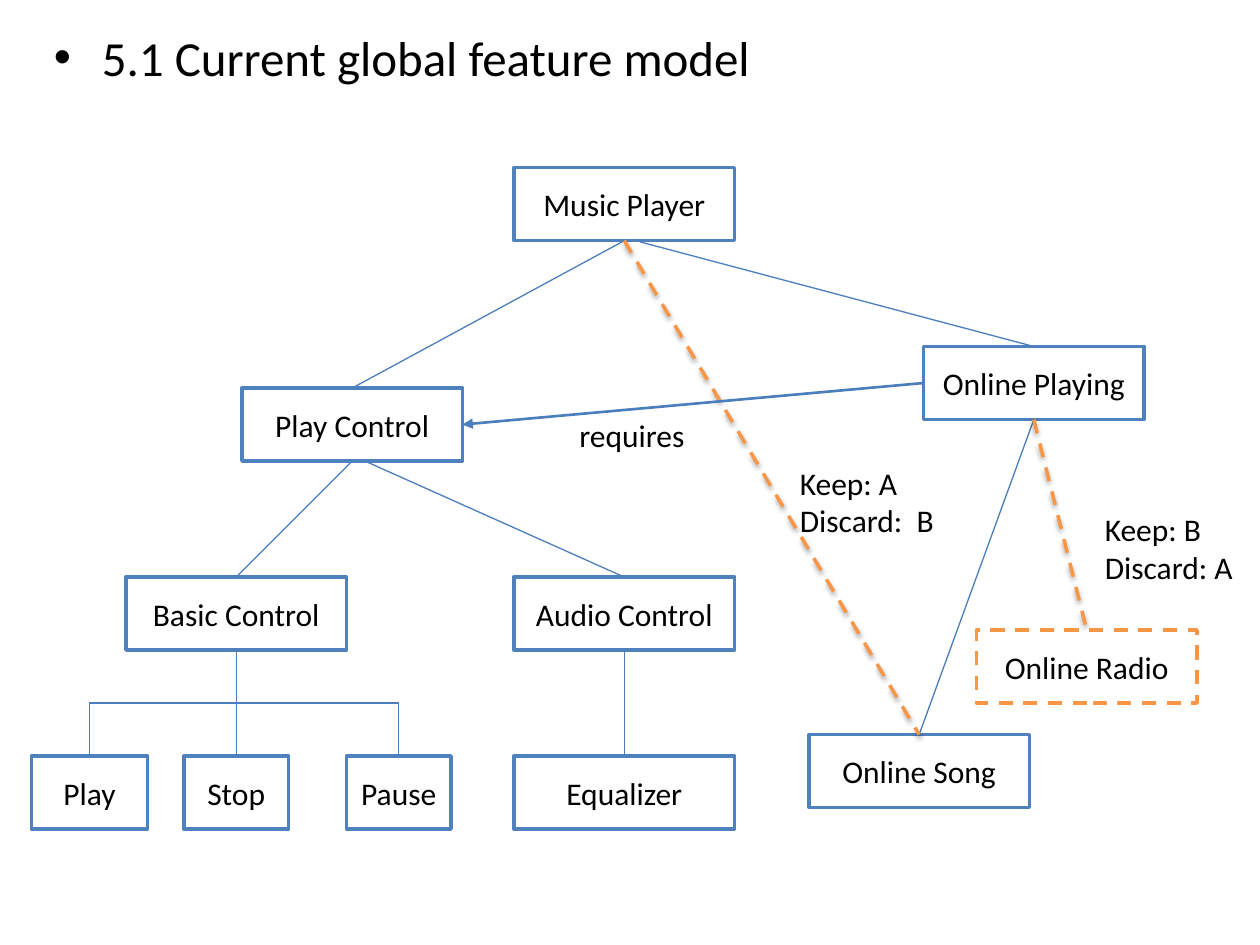
from lxml import etree
from pptx import Presentation
from pptx.dml.color import RGBColor
from pptx.enum.dml import MSO_LINE
from pptx.enum.shapes import MSO_CONNECTOR, MSO_SHAPE
from pptx.enum.text import MSO_ANCHOR, PP_ALIGN
from pptx.oxml.ns import qn
from pptx.util import Inches, Pt

RECT = MSO_SHAPE.RECTANGLE
STRAIGHT, ELBOW = MSO_CONNECTOR.STRAIGHT, MSO_CONNECTOR.ELBOW
DASH = MSO_LINE.DASH
MIDDLE, CENTER = MSO_ANCHOR.MIDDLE, PP_ALIGN.CENTER
TOP, LEFT, BOTTOM, RIGHT = range(4)

FONT = "Calibri"
BLACK, WHITE = "000000", "FFFFFF"
BLUE, EDGE, ORANGE = "4F81BD", "4B7EBC", "F79646"
WIDE, HIGH = 1.75, 0.58

# name, left, top, width
BOXES = [
    ("Music Player", 4.08, 1.33, WIDE),
    ("Play Control", 1.92, 3.08, WIDE),
    ("Online Playing", 7.33, 2.75, WIDE),
    ("Basic Control", 1, 4.58, WIDE),
    ("Audio Control", 4.08, 4.58, WIDE),
    ("Play", 0.25, 6, 0.92),
    ("Stop", 1.46, 6, 0.83),
    ("Pause", 2.75, 6, 0.83),
    ("Equalizer", 4.08, 6, WIDE),
    ("Online Song", 6.42, 5.83, WIDE),
    ("Online Radio", 7.75, 5, WIDE),
]
NEW = "Online Radio"

# parent, child
LINKS = [
    ("Music Player", "Play Control"),
    ("Play Control", "Basic Control"),
    ("Basic Control", "Stop"),
    ("Audio Control", "Equalizer"),
    ("Online Playing", "Online Song"),
]
# parent, child, start point beside the middle of the parent's side
ASIDE = [
    ("Music Player", "Online Playing", (5.08, 1.92)),
    ("Play Control", "Audio Control", (2.92, 3.67)),
]
BENDS = [("Basic Control", "Play"), ("Basic Control", "Pause")]
CLASHES = [("Online Playing", "Online Radio"), ("Music Player", "Online Song")]

# text, left, top, width, height, wrap
NOTES = [
    ("Keep: A\nDiscard:  B", 6.25, 3.63, 1.5, 0.71, True),
    ("Keep: B\nDiscard: A", 8.67, 4, 1.33, 0.71, True),
    ("requires", 4.5, 3.25, 1.05, 0.4, False),
]


def color(code):
    return RGBColor.from_string(code)


def style(frame, size):
    for para in frame.paragraphs:
        for run in para.runs:
            run.font.name = FONT
            run.font.size = Pt(size)
            run.font.color.rgb = color(BLACK)


def ink(line, code, width, dash=None):
    line.color.rgb = color(code)
    line.width = Pt(width)
    if dash:
        line.dash_style = dash


def add_text(slide, text, left, top, width, height, wrap=True, size=18):
    box = slide.shapes.add_textbox(
        Inches(left), Inches(top), Inches(width), Inches(height))
    frame = box.text_frame
    frame.word_wrap = wrap
    frame.text = text
    style(frame, size)
    return frame


def add_title(slide, text):
    frame = add_text(slide, text, 0.33, 0.17, 9, 0.83, size=28)
    para = frame.paragraphs[0]
    para.space_before = Pt(5.6)
    props = para._p.get_or_add_pPr()
    props.set("marL", str(Inches(0.38)))
    props.set("indent", str(Inches(-0.38)))
    etree.SubElement(props, qn("a:buFont"), typeface="Arial")
    etree.SubElement(props, qn("a:buChar"), char="•")


def add_box(slide, name, left, top, width):
    box = slide.shapes.add_shape(
        RECT, Inches(left), Inches(top), Inches(width), Inches(HIGH))
    box.shadow.inherit = False
    box.fill.solid()
    box.fill.fore_color.rgb = color(WHITE)
    if name == NEW:
        ink(box.line, ORANGE, 2, DASH)
    else:
        ink(box.line, BLUE, 2)
    frame = box.text_frame
    frame.word_wrap = True
    frame.vertical_anchor = MIDDLE
    frame.text = name
    frame.paragraphs[0].alignment = CENTER
    style(frame, 18)
    return box


def add_link(slide, start, end, sides=(BOTTOM, TOP), kind=STRAIGHT,
             code=EDGE, width=0.75, dash=None, point=(0, 0)):
    """Join two boxes; without a start box the line begins at point."""
    x, y = map(Inches, point)
    link = slide.shapes.add_connector(kind, x, y, x, y)
    if start is not None:
        link.begin_connect(start, sides[0])
    link.end_connect(end, sides[1])
    ink(link.line, code, width, dash)
    etree.SubElement(link.element.spPr, qn("a:effectLst"))
    return link


def add_bend(slide, start, end):
    """Elbow that leaves downwards, runs across and ends downwards."""
    link = add_link(slide, start, end, kind=ELBOW)
    across, down = link.end_x - link.begin_x, link.end_y - link.begin_y
    mid_x = (link.begin_x + link.end_x) // 2
    mid_y = (link.begin_y + link.end_y) // 2
    link.width, link.height = down, abs(across)
    link.left, link.top = mid_x - down // 2, mid_y - abs(across) // 2
    frame = link.element.spPr.find(qn("a:xfrm"))
    frame.set("rot", str((270 if across > 0 else 90) * 60000))
    frame.set("flipH", "1" if across > 0 else "0")


def add_shade(link):
    effects = link.element.spPr.find(qn("a:effectLst"))
    shade = etree.SubElement(
        effects, qn("a:outerShdw"), blurRad=str(Pt(3.1)),
        dist=str(Pt(1.6)), dir="5400000", rotWithShape="0")
    tone = etree.SubElement(shade, qn("a:srgbClr"), val=BLACK)
    etree.SubElement(tone, qn("a:alpha"), val="38000")


def add_head(link):
    line = link.element.spPr.find(qn("a:ln"))
    etree.SubElement(line, qn("a:tailEnd"), type="triangle")


def main():
    deck = Presentation()
    deck.slide_width, deck.slide_height = Inches(10), Inches(7.5)
    slide = deck.slides.add_slide(deck.slide_layouts[6])

    add_title(slide, "5.1 Current global feature model")

    # Features
    boxes = {row[0]: add_box(slide, *row) for row in BOXES}

    # Tree
    for up, low in LINKS:
        add_link(slide, boxes[up], boxes[low])
    for up, low, point in ASIDE:
        add_link(slide, None, boxes[low], point=point)
    for up, low in BENDS:
        add_bend(slide, boxes[up], boxes[low])

    # Conflicting links
    for up, low in CLASHES:
        add_shade(add_link(slide, boxes[up], boxes[low],
                           code=ORANGE, width=2, dash=DASH))

    # Dependency
    add_head(add_link(slide, boxes["Online Playing"], boxes["Play Control"],
                      sides=(LEFT, RIGHT), width=1.5))

    # Notes
    for note in NOTES:
        add_text(slide, *note)

    deck.save("out.pptx")


if __name__ == "__main__":
    main()
